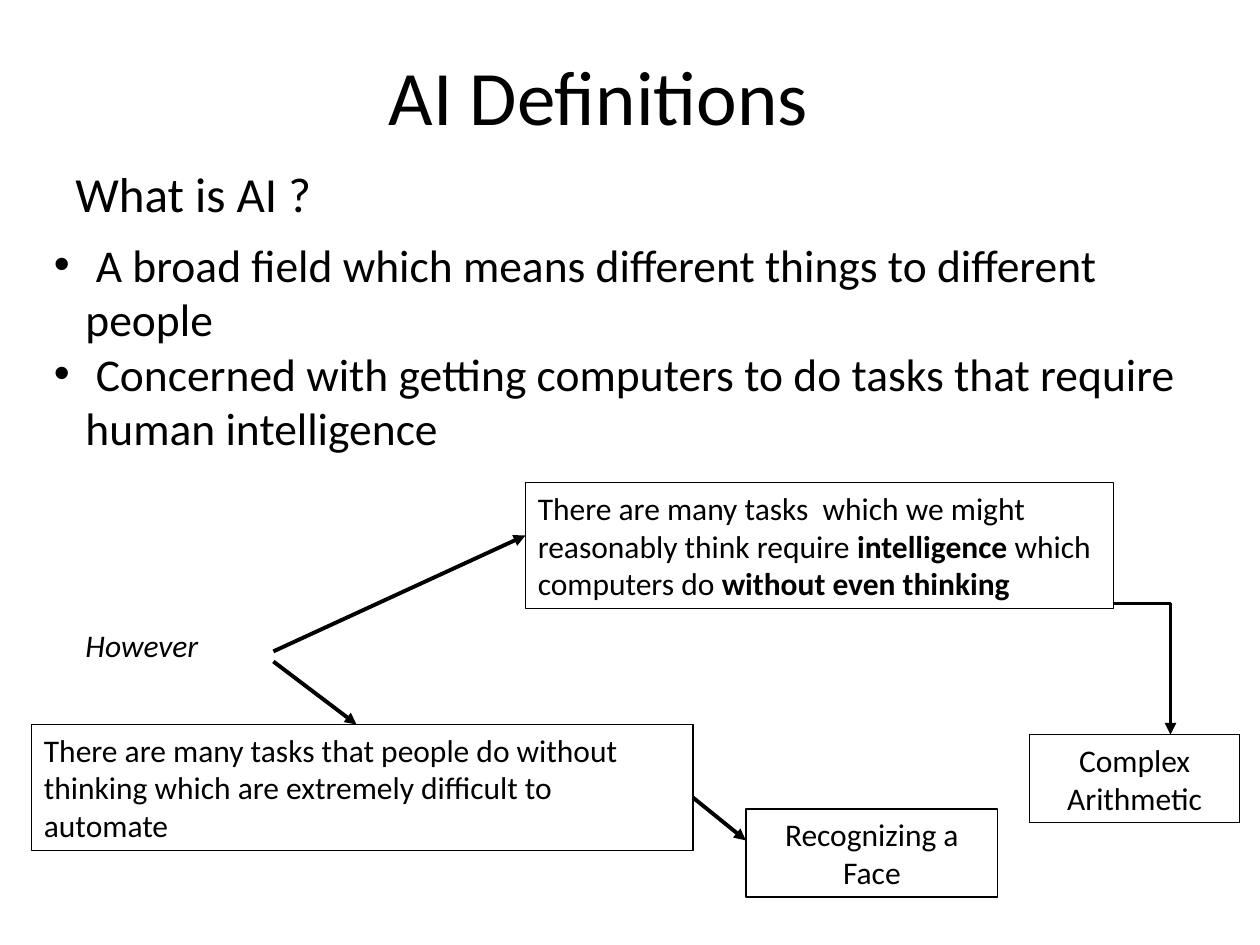
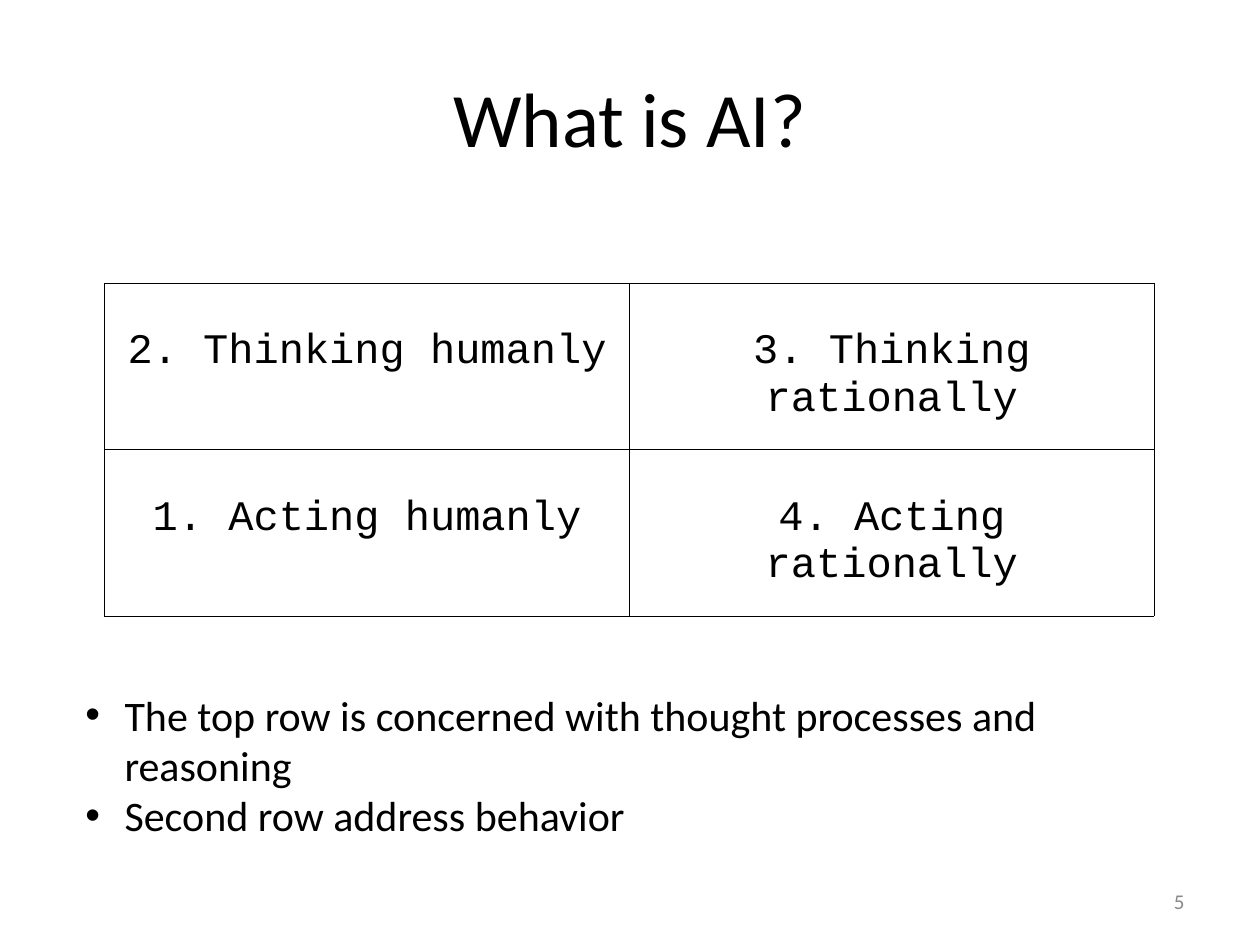
from lxml import etree
from pptx import Presentation
from pptx.dml.color import RGBColor
from pptx.enum.shapes import MSO_CONNECTOR as Connector, MSO_SHAPE as Preset
from pptx.enum.text import MSO_ANCHOR as Anchor, MSO_AUTO_SIZE as AutoSize, PP_ALIGN as Align
from pptx.oxml.ns import qn
from pptx.util import Inches, Pt

BLACK = RGBColor(0x00, 0x00, 0x00)
WHITE = RGBColor(0xFF, 0xFF, 0xFF)
GREY = RGBColor(0x89, 0x89, 0x89)
BODY_FONT = "Calibri"
TABLE_FONT = "Courier New"
BORDERS = ("a:lnL", "a:lnR", "a:lnT", "a:lnB")


def add_run(paragraph, text, **formats):
    """Add text to the paragraph; formats override the body style."""
    run = paragraph.add_run()
    run.text = text
    color = formats.pop("color", BLACK)
    for name, value in {"name": BODY_FONT, "size": Pt(18), **formats}.items():
        setattr(run.font, name, value)
    run.font.color.rgb = color


def set_indent(paragraph, indent, bullet=True):
    properties = paragraph._p.get_or_add_pPr()
    properties.set("marL", str(Inches(indent)))
    properties.set("indent", str(-Inches(indent) if bullet else 0))
    if bullet:
        font = etree.SubElement(properties, qn("a:buFont"))
        font.set("typeface", "Arial")
        etree.SubElement(properties, qn("a:buChar")).set("char", "•")


def prepare_frame(shape, anchor=Anchor.TOP, auto_size=AutoSize.SHAPE_TO_FIT_TEXT):
    frame = shape.text_frame
    settings = {"word_wrap": True, "vertical_anchor": anchor, "auto_size": auto_size}
    for name, value in settings.items():
        setattr(frame, name, value)
    return frame


def add_text(slide, box, text, align=Align.LEFT, anchor=Anchor.TOP, **formats):
    shape = slide.shapes.add_textbox(*map(Inches, box))
    frame = prepare_frame(shape, anchor, AutoSize.NONE)
    frame.paragraphs[0].alignment = align
    add_run(frame.paragraphs[0], text, **formats)


def add_title(slide, box, text):
    add_text(slide, box, text, Align.CENTER, Anchor.MIDDLE, size=Pt(44))


def add_bullets(slide, box, items, size, indent):
    """Add (text, has bullet) items that share one hanging indent."""
    frame = prepare_frame(slide.shapes.add_textbox(*map(Inches, box)))
    for number, (text, bullet) in enumerate(items):
        paragraph = frame.add_paragraph() if number else frame.paragraphs[0]
        set_indent(paragraph, indent, bullet)
        add_run(paragraph, text, size=Pt(size))


def add_box(slide, box, runs, align=Align.LEFT):
    """Add an outlined box whose runs are (text, bold) pairs."""
    shape = slide.shapes.add_shape(Preset.RECTANGLE, *map(Inches, box))
    shape.shadow.inherit = False
    shape.fill.solid()
    shape.fill.fore_color.rgb = WHITE
    shape.line.color.rgb = BLACK
    shape.line.width = Pt(0.75)
    paragraph = prepare_frame(shape).paragraphs[0]
    paragraph.alignment = align
    for text, bold in runs:
        add_run(paragraph, text, bold=bold)


def add_arrow(slide, start, end, kind=Connector.STRAIGHT):
    arrow = slide.shapes.add_connector(kind, *map(Inches, start + end))
    arrow.line.color.rgb = BLACK
    arrow.line.width = Pt(2.25)
    properties = arrow._element.spPr
    if kind == Connector.ELBOW:
        properties.find(qn("a:prstGeom")).set("prst", "bentConnector2")
    head = etree.SubElement(properties.find(qn("a:ln")), qn("a:tailEnd"))
    head.set("type", "triangle")
    etree.SubElement(properties, qn("a:effectLst"))


def set_borders(cell, width):
    properties = cell._tc.get_or_add_tcPr()
    for position, tag in enumerate(BORDERS):
        line = etree.Element(qn(tag), w=str(Pt(width)))
        fill = etree.SubElement(line, qn("a:solidFill"))
        etree.SubElement(fill, qn("a:srgbClr")).set("val", str(BLACK))
        properties.insert(position, line)


def add_grid(slide, box, rows):
    """Add a table of equal cells that fills the box."""
    left, top, width, height = map(Inches, box)
    frame = slide.shapes.add_table(len(rows), len(rows[0]), left, top, width, height)
    table = frame.table
    table.first_row = table.horz_banding = False
    for row_number, texts in enumerate(rows):
        for column_number, text in enumerate(texts):
            cell = table.cell(row_number, column_number)
            cell.fill.background()
            cell.margin_top = Inches(0.36)
            set_borders(cell, 0.45)
            paragraph = cell.text_frame.paragraphs[0]
            paragraph.alignment = Align.CENTER
            add_run(paragraph, text, name=TABLE_FONT, size=Pt(24))


def add_task_diagram(slide, left, top):
    """Place the "However" branches and their examples from a corner."""
    def at(x, y, *size):
        return (left + x, top + y, *size)

    add_text(slide, at(0.33, 1.09, 1.75, 0.4), "However", italic=True)
    add_box(slide, at(3.92, 0, 4.67, 1), [
        ("There are many tasks  which we might reasonably think require ", False),
        ("intelligence", True),
        (" which computers do ", False),
        ("without even thinking", True),
    ])
    add_box(slide, at(0, 1.92, 5.25, 1), [
        ("There are many tasks that people do without thinking "
         "which are extremely difficult to automate", False),
    ])
    add_box(slide, at(7.92, 2, 1.67, 0.7), [("Complex Arithmetic", False)], Align.CENTER)
    add_box(slide, at(5.67, 2.59, 2, 0.7), [("Recognizing a Face", False)], Align.CENTER)

    add_arrow(slide, at(1.92, 1.34), at(3.92, 0.42))
    add_arrow(slide, at(1.92, 1.42), at(2.58, 1.92))
    add_arrow(slide, at(5.25, 2.5), at(5.67, 2.84))
    add_arrow(slide, at(8.58, 0.96), at(9.04, 2), Connector.ELBOW)


def build_definitions(slide):
    add_title(slide, (1.5, 0.33, 6.5, 0.84), "AI Definitions")
    add_text(slide, (0.5, 1.25, 2.58, 0.57), "What is AI ?", size=Pt(28))
    add_bullets(slide, (0.33, 1.83, 9.42, 1.84), [
        (" A broad field which means different things to different people", True),
        (" Concerned with getting computers to do tasks that require", True),
        ("human intelligence", False),
    ], size=26, indent=0.25)
    add_task_diagram(slide, 0.25, 3.83)


def build_approaches(slide):
    add_title(slide, (0.5, 0.3, 9, 1.25), "What is AI?")
    add_grid(slide, (0.83, 2.25, 8.33, 2.64), [
        ("2. Thinking humanly", "3. Thinking rationally"),
        ("1. Acting humanly", "4. Acting rationally"),
    ])
    add_bullets(slide, (0.58, 5.42, 8.42, 1.3), [
        ("The top row is concerned with thought processes and reasoning", True),
        ("Second row address behavior", True),
    ], size=24, indent=0.31)
    add_text(slide, (7.17, 6.95, 2.33, 0.4), "5", Align.RIGHT, Anchor.MIDDLE,
             size=Pt(12), color=GREY)


def main():
    presentation = Presentation()
    presentation.slide_width = Inches(10)
    presentation.slide_height = Inches(7.5)
    blank = presentation.slide_layouts[6]
    for build in (build_definitions, build_approaches):
        build(presentation.slides.add_slide(blank))
    presentation.save("out.pptx")


if __name__ == "__main__":
    main()
